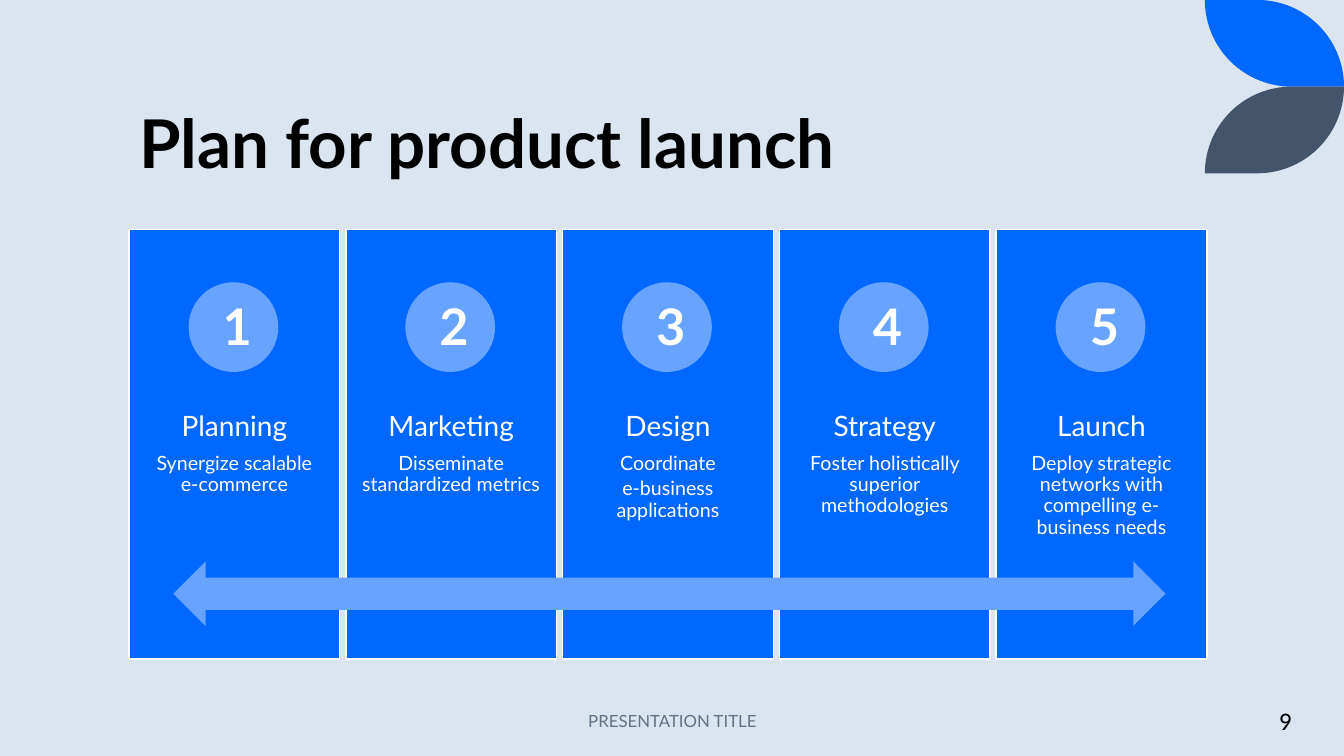
"""Build the five-step product launch slide."""
import dataclasses
import math

import pptx
import pptx.dml.color
import pptx.enum.shapes
import pptx.enum.text
import pptx.util

Inches = pptx.util.Inches
Align = pptx.enum.text.PP_ALIGN
Anchor = pptx.enum.text.MSO_ANCHOR
Fit = pptx.enum.text.MSO_AUTO_SIZE
Kind = pptx.enum.shapes.MSO_SHAPE


@dataclasses.dataclass(frozen=True)
class Theme:
    """Hold the colours, fonts and type sizes."""
    back: str = "DAE5EF"
    blue: str = "0068FF"
    light: str = "66A4FF"
    slate: str = "44546A"
    grey: str = "637183"
    white: str = "FFFFFF"
    black: str = "000000"
    font: str = "Lato"
    page_font: str = "Calibri"
    title: int = 48
    digit: int = 36
    head: int = 20
    page: int = 18
    body: int = 14
    foot: int = 12


@dataclasses.dataclass(frozen=True)
class Box:
    """Hold a frame in inches."""
    left: float
    top: float
    width: float
    height: float

    def lengths(self) -> tuple:
        """Return the frame as slide lengths."""
        return tuple(Inches(n) for n in dataclasses.astuple(self))


@dataclasses.dataclass(frozen=True)
class Step:
    """Hold the heading and lines of one card."""
    head: str
    lines: tuple


@dataclasses.dataclass(frozen=True)
class Leaf:
    """Hold the colour and the flat and far edges of one leaf."""
    color: str
    edge: float
    tip: float


THEME = Theme()
PITCH = 2.15
STEPS = (
    Step("Planning", ("Synergize scalable\ve-commerce",)),
    Step("Marketing", ("Disseminate standardized metrics",)),
    Step("Design", ("Coordinate", "e-business applications")),
    Step("Strategy", ("Foster holistically superior methodologies",)),
    Step("Launch", ("Deploy strategic networks with compelling e-business needs",)),
)
LEAVES = (Leaf(THEME.blue, 0, 0.86), Leaf(THEME.slate, 1.72, 0.86))


def tint(code: str) -> pptx.dml.color.RGBColor:
    """Turn a hex code into a colour."""
    return pptx.dml.color.RGBColor.from_string(code)


def style(para, size: int, color: str, align=Align.CENTER,
          bold: bool = False, font: str = THEME.font) -> None:
    """Format a paragraph and its runs."""
    para.alignment = align
    for run in para.runs:
        run.font.name = font
        run.font.size = pptx.util.Pt(size)
        run.font.bold = bold
        run.font.color.rgb = tint(color)


def paint(shape, color: str, line: str = "") -> None:
    """Give a shape a flat fill and an optional line."""
    shape.shadow.inherit = False
    shape.fill.solid()
    shape.fill.fore_color.rgb = tint(color)
    if line:
        shape.line.color.rgb = tint(line)
        shape.line.width = pptx.util.Pt(1)
    else:
        shape.line.fill.background()


def add_form(slide, kind, box: Box, color: str, line: str = ""):
    """Add a painted preset shape."""
    shape = slide.shapes.add_shape(kind, *box.lengths())
    paint(shape, color, line)
    return shape


def add_label(slide, text: str, box: Box, anchor=Anchor.MIDDLE, fit=Fit.NONE):
    """Add a text box and return its paragraph."""
    frame = slide.shapes.add_textbox(*box.lengths()).text_frame
    frame.text = text
    frame.word_wrap = True
    frame.auto_size = fit
    frame.vertical_anchor = anchor
    return frame.paragraphs[0]


def add_leaf(slide, leaf: Leaf) -> None:
    """Draw a leaf from two quarter arcs."""
    left, right = 11.95, 13.33
    rise = leaf.tip - leaf.edge
    reach = abs(rise)
    turns = [math.radians(3 * n) for n in range(31)]
    outer = [(right - reach + reach * math.sin(a), leaf.tip - rise * math.cos(a))
             for a in turns]
    inner = [(left + reach - reach * math.sin(a), leaf.edge + rise * math.cos(a))
             for a in turns]
    points = [(Inches(x), Inches(y)) for x, y in outer + inner]
    pen = slide.shapes.build_freeform(Inches(left), Inches(leaf.edge))
    pen.add_line_segments(points, close=True)
    paint(pen.convert_to_shape(), leaf.color)


def add_step(slide, rank: int, step: Step) -> None:
    """Draw one card with its disc and number."""
    shift = rank * PITCH
    card = add_form(slide, Kind.RECTANGLE, Box(1.28 + shift, 2.28, 2.09, 4.26),
                    THEME.blue, THEME.white)
    frame = card.text_frame
    frame.word_wrap = True
    frame.vertical_anchor = Anchor.TOP
    frame.margin_left = frame.margin_right = Inches(0.11)
    frame.margin_top, frame.margin_bottom = Inches(1.81), Inches(0.96)
    for row, text in enumerate((step.head, *step.lines)):
        para = frame.add_paragraph() if row else frame.paragraphs[0]
        para.text = text
        para.line_spacing = 0.9
        para.space_after = pptx.util.Pt(3 if row else 8)
        style(para, THEME.body if row else THEME.head, THEME.white)
    add_form(slide, Kind.OVAL, Box(1.87 + shift, 2.8, 0.89, 0.89), THEME.light)
    digit = add_label(slide, str(rank + 1), Box(2.11 + shift, 2.88, 0.38, 0.71),
                      Anchor.TOP, Fit.SHAPE_TO_FIT_TEXT)
    style(digit, THEME.digit, THEME.white, bold=True)


def add_title(slide, text: str, box: Box) -> None:
    """Place and format the title."""
    title = slide.shapes.title
    title.left, title.top, title.width, title.height = box.lengths()
    frame = title.text_frame
    frame.text = text
    frame.auto_size = Fit.NONE
    frame.vertical_anchor = Anchor.BOTTOM
    frame.paragraphs[0].line_spacing = 0.9
    style(frame.paragraphs[0], THEME.title, THEME.black, Align.LEFT, True)


def main() -> None:
    """Build and save the slide."""
    deck = pptx.Presentation()
    deck.slide_width, deck.slide_height = Inches(13.33), Inches(7.5)
    slide = deck.slides.add_slide(deck.slide_layouts[5])
    slide.background.fill.solid()
    slide.background.fill.fore_color.rgb = tint(THEME.back)
    for leaf in LEAVES:
        add_leaf(slide, leaf)
    add_title(slide, "Plan for product launch", Box(1.28, 0.15, 10.69, 1.72))
    for rank, step in enumerate(STEPS):
        add_step(slide, rank, step)
    add_form(slide, Kind.LEFT_RIGHT_ARROW, Box(1.72, 5.57, 9.84, 0.64), THEME.light)
    foot = add_label(slide, "PRESENTATION TITLE", Box(4.42, 6.95, 4.5, 0.4))
    style(foot, THEME.foot, THEME.grey)
    page = add_label(slide, "9", Box(11.1, 6.95, 1.81, 0.4))
    style(page, THEME.page, THEME.black, Align.RIGHT, font=THEME.page_font)
    deck.save("out.pptx")


if __name__ == "__main__":
    main()
